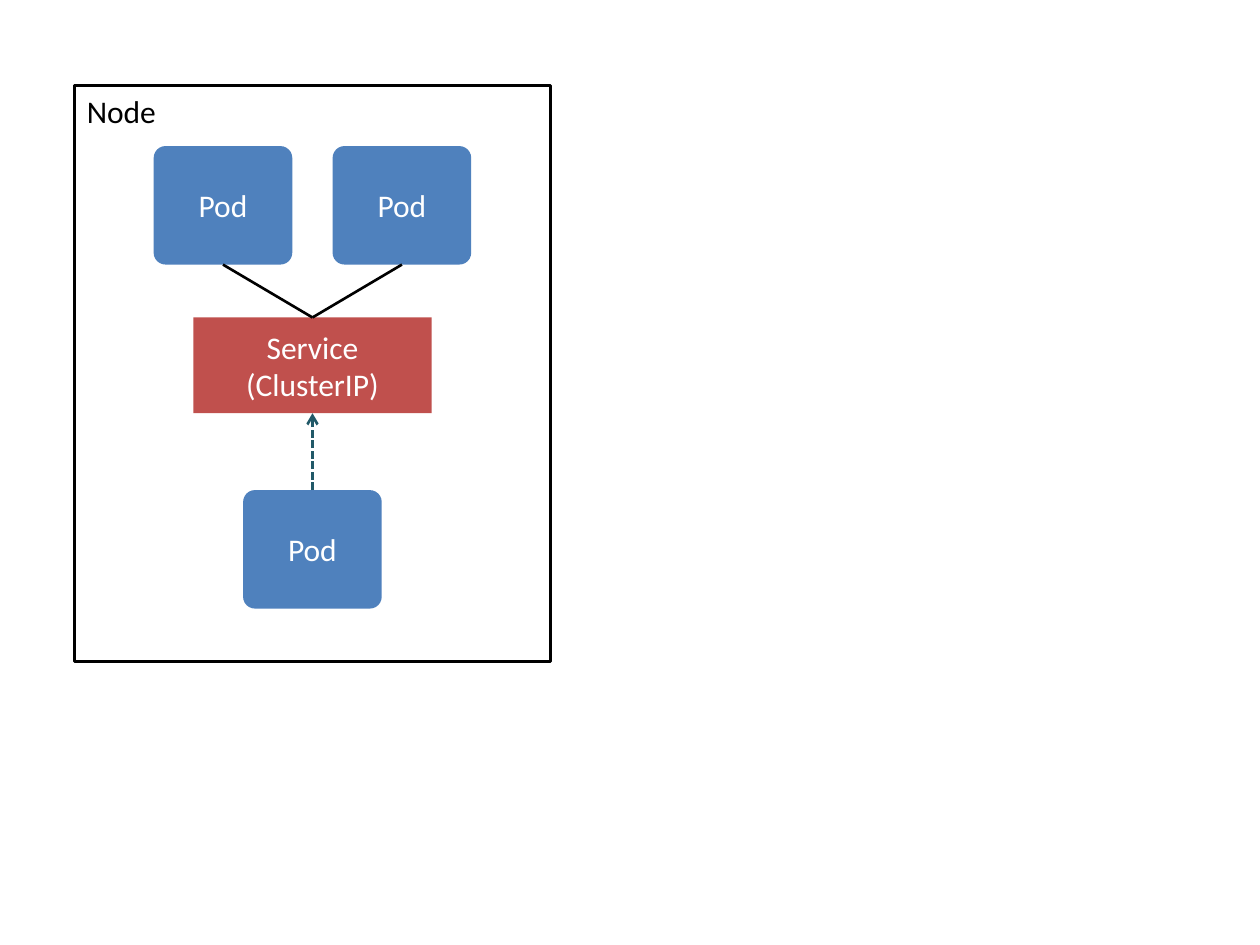
from lxml import etree
from pptx import Presentation
from pptx.dml.color import RGBColor
from pptx.enum.dml import MSO_LINE
from pptx.enum.shapes import MSO_CONNECTOR, MSO_SHAPE
from pptx.enum.text import MSO_ANCHOR, PP_ALIGN
from pptx.oxml.ns import qn
from pptx.util import Inches, Pt

RECTANGLE = MSO_SHAPE.RECTANGLE
ROUNDED = MSO_SHAPE.ROUNDED_RECTANGLE
STRAIGHT = MSO_CONNECTOR.STRAIGHT
DASHED = MSO_LINE.SQUARE_DOT
TOP, MIDDLE = MSO_ANCHOR.TOP, MSO_ANCHOR.MIDDLE
LEFT, CENTER = PP_ALIGN.LEFT, PP_ALIGN.CENTER
TOP_SIDE, BOTTOM_SIDE = 0, 2

BLACK, WHITE = "000000", "FFFFFF"
POD_BLUE, SERVICE_RED, REQUEST_TEAL = "4F81BD", "C0504D", "215968"
POD_WIDTH, POD_HEIGHT = 1.1, 0.94
POD_PITCH = 1.42
SERVICE_WIDTH, SERVICE_HEIGHT = 1.89, 0.76


def color(value):
    return RGBColor.from_string(value)


def add_box(slide, kind, box, lines, fill, text_color=WHITE, anchor=MIDDLE, alignment=CENTER):
    shape = slide.shapes.add_shape(kind, *(Inches(length) for length in box))
    shape.shadow.inherit = False
    shape.fill.solid()
    shape.fill.fore_color.rgb = color(fill)
    shape.line.fill.background()
    frame = shape.text_frame
    frame.word_wrap = True
    frame.vertical_anchor = anchor
    frame.text = "\n".join(lines)
    for paragraph in frame.paragraphs:
        paragraph.alignment = alignment
        paragraph.font.name = "Calibri"
        paragraph.font.size = Pt(18)
        paragraph.font.color.rgb = color(text_color)
    return shape


def add_pod(slide, center, top):
    box = (center - POD_WIDTH / 2, top, POD_WIDTH, POD_HEIGHT)
    pod = add_box(slide, ROUNDED, box, ["Pod"], POD_BLUE)
    pod.adjustments[0] = 0.1
    return pod


def connect(slide, start, start_side, end, end_side, line_color):
    connector = slide.shapes.add_connector(STRAIGHT, 0, 0, 0, 0)
    connector.begin_connect(start, start_side)
    connector.end_connect(end, end_side)
    connector.line.color.rgb = color(line_color)
    connector.line.width = Pt(1.5)
    etree.SubElement(connector._element.spPr, qn("a:effectLst"))
    return connector


def add_node(slide, left, top, width, height):
    node = add_box(slide, RECTANGLE, (left, top, width, height), ["Node"], WHITE, BLACK, TOP, LEFT)
    node.line.color.rgb = color(BLACK)
    node.line.width = Pt(2)

    center = left + width / 2
    backends = [add_pod(slide, center + side * POD_PITCH / 2, top + 0.48) for side in (-1, 1)]
    service_box = (center - SERVICE_WIDTH / 2, top + 1.84, SERVICE_WIDTH, SERVICE_HEIGHT)
    service = add_box(slide, RECTANGLE, service_box, ["Service", "(ClusterIP)"], SERVICE_RED)
    for backend in backends:
        connect(slide, backend, BOTTOM_SIDE, service, TOP_SIDE, BLACK)

    client = add_pod(slide, center, top + 3.21)
    request = connect(slide, client, TOP_SIDE, service, BOTTOM_SIDE, REQUEST_TEAL)
    request.line.dash_style = DASHED
    etree.SubElement(request.line._get_or_add_ln(), qn("a:tailEnd"), type="arrow")


def main():
    presentation = Presentation()
    presentation.slide_width = Inches(10)
    presentation.slide_height = Inches(7.5)
    slide = presentation.slides.add_slide(presentation.slide_layouts[6])
    add_node(slide, 0.59, 0.68, 3.78, 4.57)
    presentation.save("out.pptx")


if __name__ == "__main__":
    main()
